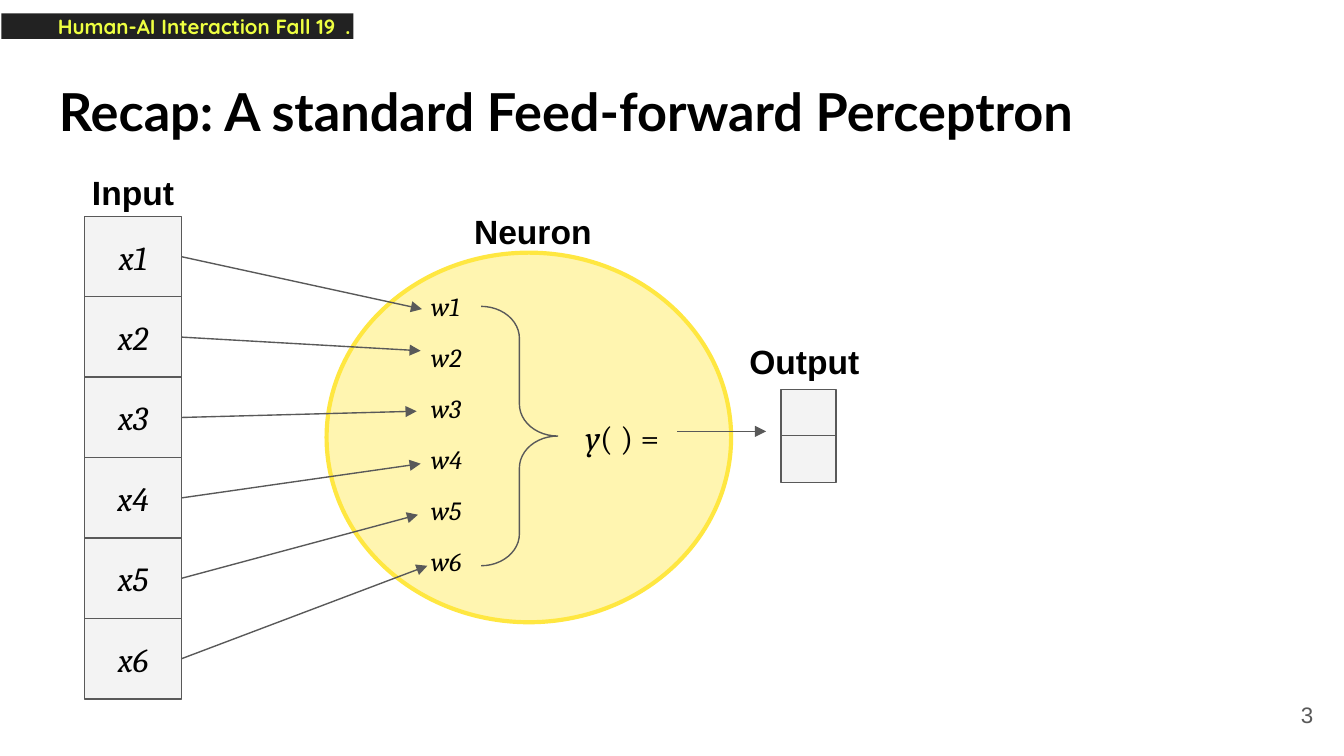
"""Build the slide recapping a standard feed-forward perceptron."""
import pptx
import pptx.dml.color
import pptx.enum.shapes
import pptx.enum.text
import pptx.oxml
import pptx.oxml.ns
import pptx.util

Inches = pptx.util.Inches
Shape = pptx.enum.shapes.MSO_SHAPE
Anchor = pptx.enum.text.MSO_ANCHOR
Align = pptx.enum.text.PP_ALIGN
color = pptx.dml.color.RGBColor.from_string
NAMESPACE = pptx.oxml.ns.nsdecls("a")
GRAY, PALE, YELLOW = "595959", "F3F3F3", "FFE741"

presentation = pptx.Presentation()
presentation.slide_width = Inches(10)
presentation.slide_height = Inches(10) * 9 // 16
slide = presentation.slides.add_slide(presentation.slide_layouts[6])
shapes = slide.shapes


def add_block(kind, box, fill=None, line=None, width=0.75):
    block = shapes.add_shape(kind, *map(Inches, box))
    block.shadow.inherit = False
    if fill:
        block.fill.solid()
        block.fill.fore_color.rgb = color(fill)
    else:
        block.fill.background()
    if line:
        block.line.color.rgb = color(line)
        block.line.width = pptx.util.Pt(width)
    else:
        block.line.fill.background()
    return block


def write(holder, text, size, font, hue="000000", bold=False, italic=False,
          align=Align.LEFT, anchor=Anchor.TOP):
    frame = holder.text_frame
    frame.word_wrap = True
    frame.vertical_anchor = anchor
    frame.margin_left = frame.margin_right = Inches(0.1)
    frame.margin_top = frame.margin_bottom = Inches(0.1)
    paragraph = frame.paragraphs[0]
    paragraph.text = text
    paragraph.alignment = align
    style = paragraph.runs[0].font
    style.size = pptx.util.Pt(size)
    style.name = font
    style.color.rgb = color(hue)
    style.bold = bold
    style.italic = italic
    return paragraph


course = add_block(Shape.RECTANGLE, (0.01, 0.1, 2.62, 0.19), fill="222222")
course_line = write(course, "Human-AI Interaction Fall 19\t.", 11, "Quicksand",
                    "EEFF41", bold=True, anchor=Anchor.MIDDLE)
course_line._p.get_or_add_pPr().append(pptx.oxml.parse_xml(
    f'<a:tabLst {NAMESPACE}><a:tab pos="{Inches(2.14)}" algn="l"/></a:tabLst>'))
course.text_frame.margin_left = Inches(0.42)
course.text_frame.margin_right = 0
course.text_frame.margin_top = course.text_frame.margin_bottom = 0

title = shapes.add_textbox(Inches(0.34), Inches(0.49), Inches(9.32), Inches(0.63))
write(title, "Recap: A standard Feed-forward Perceptron", 28, "Lato", bold=True)

page_number = shapes.add_textbox(Inches(9.27), Inches(5.1), Inches(0.6), Inches(0.43))
write(page_number, "3", 12, "Arial", GRAY, align=Align.RIGHT, anchor=Anchor.MIDDLE)

neuron = add_block(Shape.OVAL, (2.43, 1.88, 3.01, 2.75), YELLOW, YELLOW, 2.25)
neuron_color = neuron.fill._xPr.find(".//" + pptx.oxml.ns.qn("a:srgbClr"))
neuron_color.append(pptx.oxml.parse_xml(f'<a:alpha {NAMESPACE} val="41000"/>'))

arrows = []
arrow_tips = [(3.14, 2.3), (3.13, 2.61), (3.1, 3.06), (3.13, 3.45), (3.11, 3.83), (3.18, 4.21)]
for index, (tip_x, tip_y) in enumerate(arrow_tips):
    top = 1.61 + 3.59 / 6 * index
    input_cell = add_block(Shape.RECTANGLE, (0.63, top, 0.72, 0.6), PALE, GRAY)
    write(input_cell, f"x{index + 1}", 18, "Cambria", italic=True,
          align=Align.CENTER, anchor=Anchor.MIDDLE)
    weight = shapes.add_textbox(Inches(3.11), Inches(2.06 + 0.38 * index),
                                Inches(0.52), Inches(0.63))
    write(weight, f"w{index + 1}", 14, "Cambria", italic=True)
    input_arrow = shapes.add_connector(
        pptx.enum.shapes.MSO_CONNECTOR.STRAIGHT,
        Inches(1.35), Inches(top + 0.3), Inches(tip_x), Inches(tip_y))
    input_arrow.begin_connect(input_cell, 3)
    arrows.append(input_arrow)

brace = add_block(Shape.RIGHT_BRACE, (3.58, 2.28, 0.57, 1.93), line=GRAY)
brace.adjustments[0] = 0.417
brace.adjustments[1] = 0.5

activation = shapes.add_textbox(Inches(4.26), Inches(3), Inches(1), Inches(0.63))
formula = write(activation, "y", 18, "Cambria", italic=True)
arguments = formula.add_run()
arguments.text = "( ) ="
arguments.font.size = pptx.util.Pt(18)
arguments.font.name = "Cambria"
arguments.font.color.rgb = color("000000")

arrows.append(shapes.add_connector(
    pptx.enum.shapes.MSO_CONNECTOR.STRAIGHT,
    Inches(5.04), Inches(3.21), Inches(5.7), Inches(3.21)))
for arrow in arrows:
    arrow.line.color.rgb = color(GRAY)
    arrow.line.width = pptx.util.Pt(0.75)
    arrow.line._get_or_add_ln().append(pptx.oxml.parse_xml(
        f'<a:tailEnd {NAMESPACE} type="triangle"/>'))
    arrow._element.spPr.append(pptx.oxml.parse_xml(f'<a:effectLst {NAMESPACE}/>'))

for top in (2.9, 3.24):
    add_block(Shape.RECTANGLE, (5.81, top, 0.41, 0.35), PALE, GRAY)

headings = [("Input", (0.49, 1.18, 1, 0.66)),
            ("Neuron", (2.51, 1.47, 2.91, 0.66)),
            ("Output", (5.44, 2.44, 1.09, 0.47))]
for heading, box in headings:
    label = shapes.add_textbox(*map(Inches, box))
    write(label, heading, 18, "Arial", bold=True, align=Align.CENTER)

presentation.save("out.pptx")
